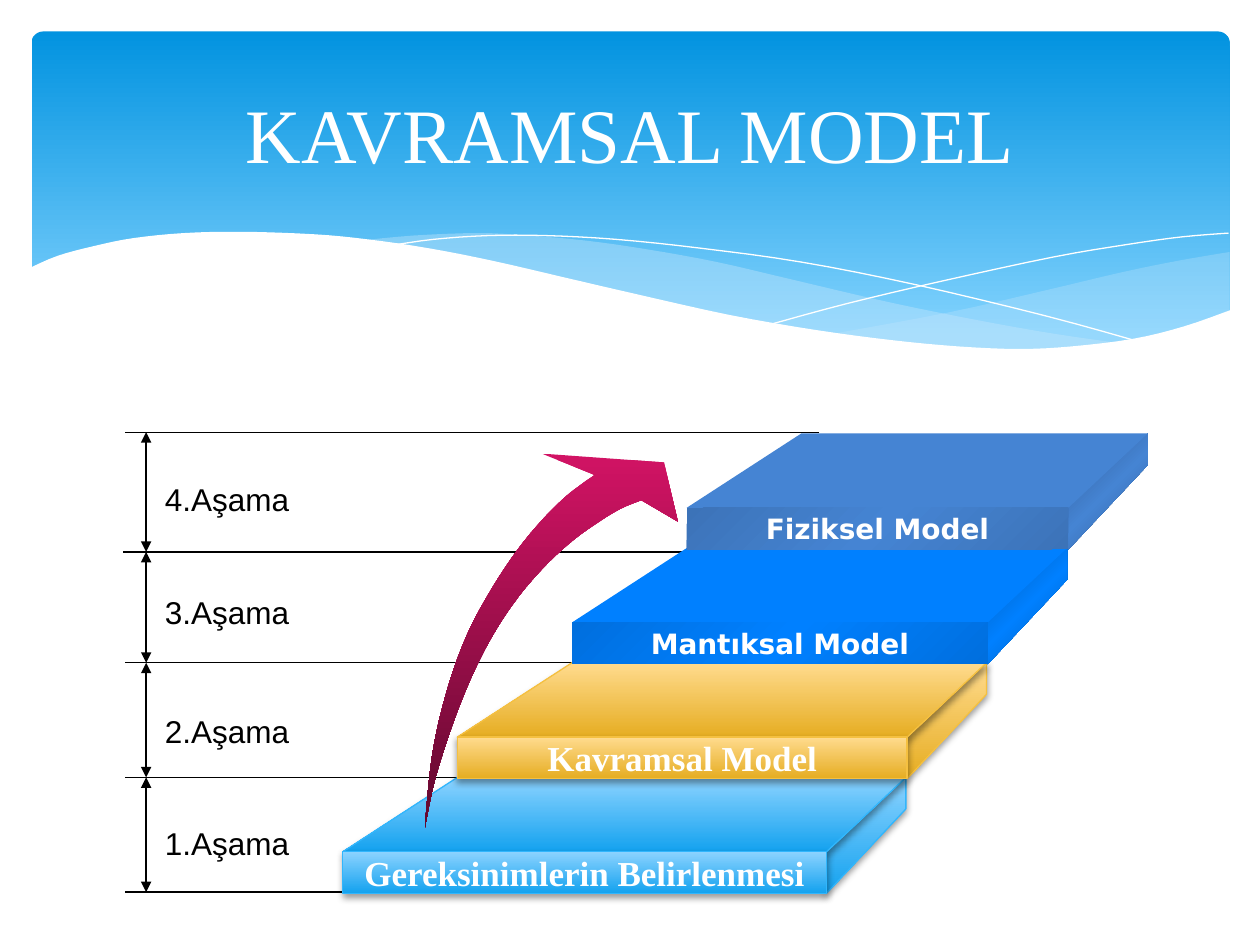
"""Build the KAVRAMSAL MODEL slide: a wave header above four stacked model steps."""
from copy import deepcopy

from lxml import etree
from pptx import Presentation
from pptx import util as u
from pptx.dml.color import RGBColor
from pptx.enum import shapes, text
from pptx.oxml.ns import qn

COLORS = {
    "white": "FFFFFF", "black": "000000", "mist": "C6E7FC",
    "sky_top": "0293E0", "sky_bottom": "83D3FE",
    "aqua_light": "8CD3FF", "aqua_dark": "14A2EF", "aqua_edge": "31B6FD",
    "gold_light": "FFDB8E", "gold_dark": "E6AD22", "gold_edge": "F5C040",
    "azure": "0080FF", "azure_side": "005CB6", "azure_front": "006FDE",
    "steel": "4584D3", "steel_side": "315E97", "steel_front": "3C73B8",
    "pink": "D11364", "wine": "61092E",
}
RGB = {name: RGBColor.from_string(value) for name, value in COLORS.items()}

deck = Presentation()
deck.slide_width, deck.slide_height = u.Inches(10), u.Inches(7.5)
slide = deck.slides.add_slide(deck.slide_layouts[6])


def outline(*sides, close=True):
    """Draw a freeform whose sides are smooth curves through their knots."""
    points = []
    for side in sides:
        points.append(side[0])
        padded = [side[0], *side, side[-1]]
        for a, b, c, d in zip(padded, padded[1:], padded[2:], padded[3:]):
            for t in (0.25, 0.5, 0.75, 1):
                points.append(tuple(
                    (2 * q + (r - p) * t + (2 * p - 5 * q + 4 * r - s) * t ** 2
                     + (3 * q - p - 3 * r + s) * t ** 3) / 2
                    for p, q, r, s in zip(a, b, c, d)))
    scaled = [(u.Inches(x), u.Inches(y)) for x, y in points]
    builder = slide.shapes.build_freeform(*scaled[0])
    builder.add_line_segments(scaled[1:], close=close)
    return builder.convert_to_shape()


def paint(part, colors=(), angle=90, edge=None, width=0.75, alpha=None, end=1, shadow=False):
    """Give a shape a flat or gradient fill, an edge and a shadow."""
    part.shadow.inherit = False
    properties = part._element.spPr
    if not colors:
        part.fill.background()
    elif len(colors) == 1:
        part.fill.solid()
        part.fill.fore_color.rgb = RGB[colors[0]]
        if alpha:
            tint = properties.find(qn("a:solidFill"))[0]
            etree.SubElement(tint, qn("a:alpha"), val=str(alpha * 1000))
    else:
        part.fill.gradient()
        part.fill.gradient_angle = 360 - angle
        stop_list = properties.find(qn("a:gradFill")).find(qn("a:gsLst"))
        for _ in colors[2:]:
            stop_list.append(deepcopy(stop_list[0]))
        for index, (stop, color) in enumerate(zip(part.fill.gradient_stops, colors)):
            stop.color.rgb = RGB[color]
            stop.position = end * index / (len(colors) - 1)
    if edge:
        part.line.color.rgb = RGB[edge]
        part.line.width = u.Pt(width)
    else:
        part.line.fill.background()
    if shadow:
        cast = etree.SubElement(properties.find(qn("a:effectLst")), qn("a:outerShdw"),
                                blurRad=str(u.Pt(4)), dist=str(u.Pt(2)),
                                dir="5400000", rotWithShape="0")
        shade = etree.SubElement(cast, qn("a:srgbClr"), val=COLORS["black"])
        etree.SubElement(shade, qn("a:alpha"), val="38000")


header = slide.shapes.add_shape(shapes.MSO_SHAPE.ROUNDED_RECTANGLE, u.Inches(0.25),
                                u.Inches(0.25), u.Inches(9.51), u.Inches(2.7))
header.adjustments[0] = 0.034
paint(header, ["sky_top", "sky_bottom"], end=0.9)

right_wave = outline(
    [(9.76, 2), (9.35, 2.07), (8.91, 2.16), (8.32, 2.3), (7.53, 2.48), (6.61, 2.65)],
    [(6.61, 2.65), (7.19, 2.72), (7.69, 2.77), (8.14, 2.78), (8.63, 2.75),
     (9.05, 2.69), (9.42, 2.59), (9.76, 2.47)])
paint(right_wave, ["mist"], alpha=29)

long_wave = outline(
    [(8.93, 2.73), (8.37, 2.65), (7.75, 2.54), (7.06, 2.4), (6.29, 2.22), (5.69, 2.08),
     (5.14, 1.98), (4.65, 1.91), (4.2, 1.87), (3.8, 1.85), (3.28, 1.87), (2.86, 1.91)],
    [(2.86, 1.91), (3.42, 1.99), (4.04, 2.11), (4.49, 2.22), (5.3, 2.4), (6.01, 2.55),
     (6.65, 2.66), (7.22, 2.74), (7.73, 2.77), (8.18, 2.78), (8.57, 2.77), (8.93, 2.73)])
paint(long_wave, ["mist"], alpha=40)

threads = [
    [(3.09, 1.95), (3.44, 1.9), (3.87, 1.87), (4.33, 1.87), (4.89, 1.9), (5.56, 1.97),
     (6.36, 2.08), (7.27, 2.26), (8.31, 2.51), (9.07, 2.72)],
    [(6.13, 2.57), (6.72, 2.41), (7.48, 2.23), (8.36, 2.04), (8.95, 1.94),
     (9.38, 1.88), (9.75, 1.85)],
]
for thread in threads:
    paint(outline(thread, close=False), edge="white", width=0)

paper = outline(
    [(9.77, 2.46), (9.4, 2.59), (8.99, 2.69), (8.5, 2.75), (8.09, 2.77), (7.61, 2.75),
     (7.08, 2.7), (6.48, 2.62), (5.79, 2.5), (5.03, 2.33), (4.47, 2.2), (3.91, 2.07),
     (3.4, 1.97), (2.92, 1.9), (2.5, 1.86), (1.93, 1.84), (1.46, 1.85), (1.06, 1.89),
     (0.76, 1.95), (0.46, 2.03), (0.23, 2.13)],
    [(0.23, 3.29)], [(9.77, 3.29)])
paint(paper, ["white"])

levels = [(7.08, 0.99, 2.81), (6.17, 0.99, 3.66), (5.26, 0.99, 4.66),
          (4.38, 0.98, 5.54), (3.43, 0.99, 6.5)]
rulers = [(right, y, left, y, False) for y, left, right in levels]
rulers += [(1.16, upper[0], 1.16, lower[0], True) for lower, upper in zip(levels, levels[1:])]
for x1, y1, x2, y2, arrowed in rulers:
    ruler = slide.shapes.add_connector(shapes.MSO_CONNECTOR.STRAIGHT, u.Inches(x1),
                                       u.Inches(y1), u.Inches(x2), u.Inches(y2))
    ruler.line.color.rgb = RGB["black"]
    ruler.line.width = u.Pt(0.75)
    if arrowed:
        for tip in ("a:headEnd", "a:tailEnd"):
            etree.SubElement(ruler.line._get_or_add_ln(), qn(tip), type="triangle")
    etree.SubElement(ruler._element.spPr, qn("a:effectLst"))

captions = []
title = slide.shapes.add_textbox(u.Inches(0.5), u.Inches(0.37), u.Inches(9), u.Inches(1.37))
captions.append((title, "KAVRAMSAL MODEL", text.PP_ALIGN.CENTER, True,
                 {"name": "Times New Roman", "size": u.Pt(44)}, "white"))
for number, top in enumerate([6.49, 5.6, 4.66, 3.76], start=1):
    stage = slide.shapes.add_textbox(u.Inches(1.21), u.Inches(top), u.Inches(1.26), u.Inches(0.4))
    captions.append((stage, f"{number}.Aşama", text.PP_ALIGN.LEFT, False,
                     {"name": "Arial", "size": u.Pt(18)}, "black"))

serif = {"name": "Times New Roman", "size": u.Pt(20), "bold": True}
sans = {"name": "DejaVu Sans", "size": u.Pt(16), "bold": True}
aqua = {"colors": ["aqua_light", "aqua_dark"], "edge": "aqua_edge", "shadow": True}
gold = {"colors": ["gold_light", "gold_dark"], "edge": "gold_edge", "shadow": True}
azure_side, azure_front, steel_side, steel_front = (
    {"colors": [f"{hue}_{face}", hue, f"{hue}_{face}"], "angle": 45}
    for hue in ("azure", "steel") for face in ("side", "front"))
steps = [
    ("Gereksinimlerin Belirlenmesi", serif, aqua, aqua, aqua),
    ("Kavramsal Model", serif, gold, gold, gold),
    ("Mantıksal Model", sans, azure_side, {"colors": ["azure"]}, azure_front),
    ("Fiziksel Model", sans, steel_side, {"colors": ["steel"]}, steel_front),
]
for index, (label, font, side_style, top_style, front_style) in enumerate(steps):
    left, top = 2.72 + 0.91 * index, 6.76 - 0.91 * index
    width = 3.84 - 0.27 * index
    right = left + width
    back_right, back = right + 0.63, top - 0.59
    paint(outline([(back_right, top - 0.34)], [(right, top + 0.33)], [(right, top)],
                  [(back_right, back)]), **side_style)
    paint(outline([(right, top)], [(left, top)], [(left + 0.91, back)],
                  [(back_right, back)]), **top_style)
    front = slide.shapes.add_shape(shapes.MSO_SHAPE.RECTANGLE, u.Inches(left), u.Inches(top),
                                   u.Inches(width), u.Inches(0.33))
    paint(front, **front_style)
    captions.append((front, label, text.PP_ALIGN.CENTER, False, font, "white"))

for holder, words, alignment, wrapped, font, color in captions:
    frame = holder.text_frame
    frame.word_wrap = wrapped
    frame.vertical_anchor = (text.MSO_ANCHOR.TOP if color == "black" else text.MSO_ANCHOR.MIDDLE)
    line = frame.paragraphs[0]
    line.alignment = alignment
    run = line.add_run()
    run.text = words
    for key, value in font.items():
        setattr(run.font, key, value)
    run.font.color.rgb = RGB[color]

rising_arrow = outline(
    [(3.37, 6.58), (3.43, 5.99), (3.55, 5.47), (3.71, 5.03), (3.91, 4.66), (4.11, 4.36),
     (4.3, 4.13), (4.48, 3.95), (4.62, 3.84), (4.72, 3.77)],
    [(4.3, 3.6)], [(5.27, 3.67)], [(5.38, 4.14)],
    [(5.09, 3.97), (4.92, 4.04), (4.71, 4.17), (4.51, 4.32), (4.29, 4.53), (4.06, 4.81),
     (3.84, 5.17), (3.64, 5.62), (3.46, 6.16), (3.37, 6.58)])
paint(rising_arrow, ["pink", "wine"])

deck.save("out.pptx")
